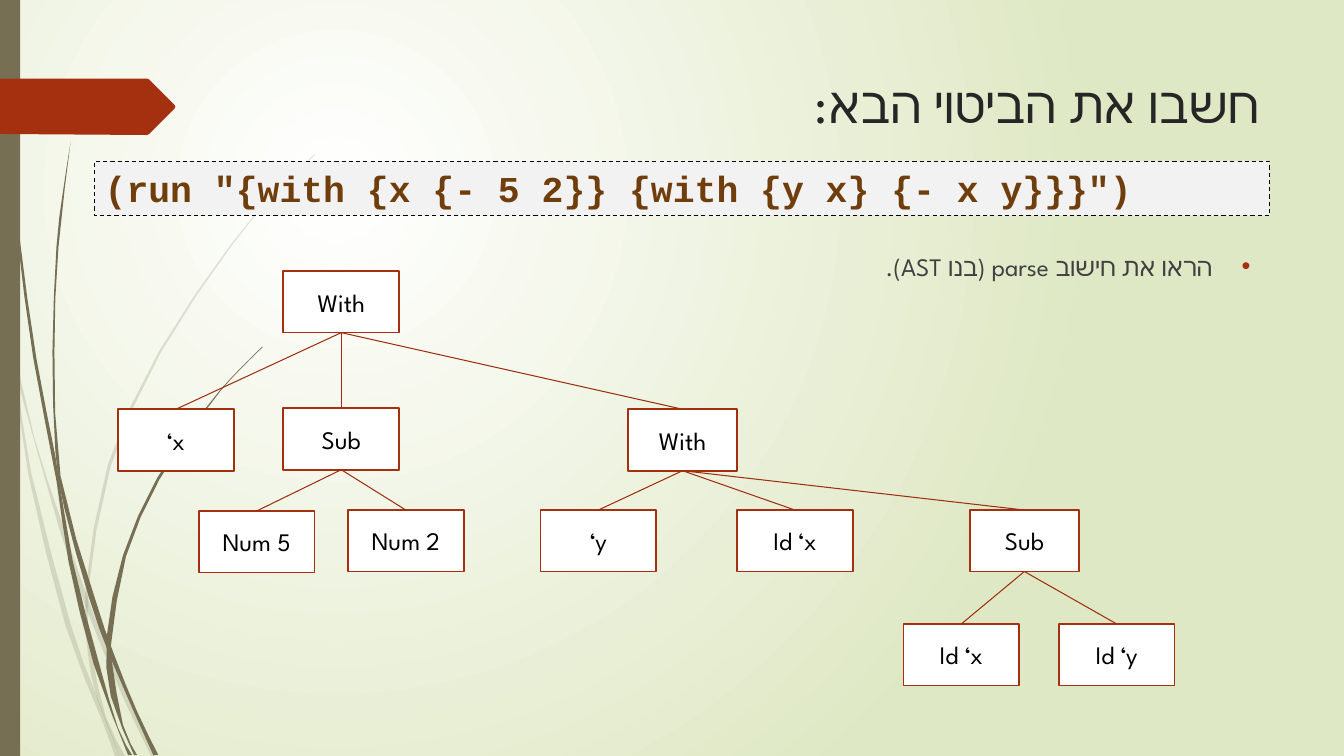
from dataclasses import dataclass

from lxml import etree
from pptx import Presentation
from pptx import util as u
from pptx.dml.color import RGBColor
from pptx.enum import dml, shapes, text
from pptx.oxml import ns

Points = list[tuple[float, float]]
SANS, MONO = "League Spartan", "Courier New"
OLIVE, RUST = "766F54", "A53010"


@dataclass
class Node:
    label: str
    left: float
    top: float
    width: float = 1.15
    kids: tuple["Node", ...] = ()


@dataclass
class Style:
    size: int
    color: str
    face: str = SANS
    bold: bool = False


@dataclass
class Stalk:
    down: Points
    back: Points
    alpha: int = 100


STALKS = (
    Stalk([(0, 2.82), (0.09, 3.22), (0.17, 3.76), (0.31, 4.69), (0.7, 6.19), (0.93, 6.83), (1.19, 7.5)],
          [(1.14, 7.5), (1.01, 7.14), (0.65, 6.21), (0.28, 4.7), (0.11, 3.5), (0, 2.99)], 20),
    Stalk([(0.14, 3.45), (0.34, 4.34), (0.62, 5.2), (0.92, 6.07), (1.27, 6.92), (1.55, 7.5)],
          [(1.5, 7.5), (1.23, 6.94), (0.88, 6.1), (0.58, 5.22), (0.17, 3.76)], 20),
    Stalk([(3.12, 1.53), (2.68, 1.97), (2.28, 2.44), (1.58, 3.48), (1.07, 4.61), (0.85, 5.84),
           (0.87, 6.46), (0.96, 6.92), (1.19, 7.5)],
          [(1.24, 7.5), (1.05, 7.11), (0.91, 6.46), (0.88, 5.84), (1.1, 4.62), (1.6, 3.49),
           (2.29, 2.45), (2.68, 1.98), (3.12, 1.54)], 20),
    Stalk([(0.03, 0), (0.07, 1.1), (0.17, 2.33), (0.33, 3.55), (0.56, 4.77), (0.68, 5.57),
           (0.93, 6.59), (1.27, 7.49)],
          [(1.31, 7.49), (1.17, 7.22), (0.98, 6.57), (0.72, 5.56), (0.55, 4.53), (0.36, 3.55),
           (0.19, 2.32), (0.08, 1.09), (0.04, 0)]),
    Stalk([(0.7, 1.41), (0.62, 1.93), (0.56, 2.45), (0.52, 3.49), (0.55, 4.49), (0.64, 5.05),
           (0.88, 5.92), (1.11, 6.56), (1.52, 7.49)],
          [(1.57, 7.49), (1.36, 7.06), (1.13, 6.49), (0.93, 5.9), (0.6, 4.72), (0.54, 3.49),
           (0.58, 2.45), (0.7, 1.41)]),
    Stalk([(2.6, 3.44), (2.31, 3.73), (2.04, 4.05), (1.56, 4.74), (1.22, 5.51), (1.06, 6.31),
           (1.1, 6.91), (1.33, 7.49)],
          [(1.36, 7.49), (1.22, 7.19), (1.11, 6.56), (1.11, 6.33), (1.25, 5.52), (1.58, 4.76),
           (2.05, 4.06), (2.31, 3.74), (2.61, 3.44)]),
)
ARROW = [(0, 0.78), (1.46, 0.78), (1.48, 0.79), (1.73, 1.04), (1.74, 1.06),
         (1.73, 1.08), (1.48, 1.33), (1.46, 1.34), (0, 1.33)]

TREE = Node("With", 2.81, 2.69, kids=(
    Node("‘x", 1.17, 4.06),
    Node("Sub", 2.81, 4.05, kids=(Node("Num 5", 1.97, 5.07), Node("Num 2", 3.45, 5.06))),
    Node("With", 6.23, 4.06, 1.08, (
        Node("‘y", 5.36, 5.06),
        Node("Id ‘x", 7.31, 5.06),
        Node("Sub", 9.62, 5.06, 1.08, (Node("Id ‘x", 8.96, 6.19), Node("Id ‘y", 10.5, 6.19))))),
))


def tint(code: str) -> RGBColor:
    return RGBColor.from_string(code)


def add_sub(parent, tag: str, **attrs: str):
    return etree.SubElement(parent, ns.qn(tag), attrs)


def paint(shape, color: str, edge: str = "", width: float = 0) -> None:
    shape.shadow.inherit = False
    shape.fill.solid()
    shape.fill.fore_color.rgb = tint(color)
    if edge:
        shape.line.color.rgb = tint(edge)
        shape.line.width = u.Pt(width)
    else:
        shape.line.fill.background()


def write(par, words: str, style: Style, align) -> None:
    par.alignment = align
    run = par.add_run()
    run.text = words
    font = run.font
    font.name, font.size, font.bold = style.face, u.Pt(style.size), style.bold
    font.color.rgb = tint(style.color)
    add_sub(font._element, "a:cs", typeface=style.face)


def smooth(knots: Points) -> Points:
    """Add a rounded midpoint between each pair of knots."""
    ends = [knots[0], *knots, knots[-1]]
    points = knots[:1]
    for a, b, c, d in zip(ends, ends[1:], ends[2:], ends[3:]):
        mid = tuple((9 * (b[i] + c[i]) - a[i] - d[i]) / 16 for i in (0, 1))
        points += [mid, c]
    return points


def add_free(slide, points: Points, color: str, alpha: int = 100) -> None:
    first, *rest = [(u.Inches(x), u.Inches(y)) for x, y in points]
    pen = slide.shapes.build_freeform(*first)
    pen.add_line_segments(rest, close=True)
    shape = pen.convert_to_shape()
    paint(shape, color)
    if alpha < 100:
        add_sub(shape._element.spPr.find(".//" + ns.qn("a:srgbClr")), "a:alpha", val=str(alpha * 1000))


def add_rect(slide, left: float, top: float, width: float, height: float):
    return slide.shapes.add_shape(shapes.MSO_SHAPE.RECTANGLE, *map(u.Inches, (left, top, width, height)))


def add_node(slide, node: Node):
    box = add_rect(slide, node.left, node.top, node.width, 0.61)
    paint(box, "FFFFFF", RUST, 1.25)
    box.text_frame.vertical_anchor = text.MSO_ANCHOR.MIDDLE
    write(box.text_frame.paragraphs[0], node.label, Style(18, "000000"), text.PP_ALIGN.CENTER)
    for kid in node.kids:
        child = add_node(slide, kid)
        link = slide.shapes.add_connector(shapes.MSO_CONNECTOR.STRAIGHT, 0, 0, 0, 0)
        link.begin_connect(box, 2)
        link.end_connect(child, 0)
        link.line.color.rgb = tint("9E2E0F")
        link.line.width = u.Pt(0.75)
        add_sub(link._element.spPr, "a:effectLst")
    return box


def add_hebrew(slide, left: float, top: float, height: float, words: str, style: Style, dot: bool = False) -> None:
    frame = slide.shapes.add_textbox(*map(u.Inches, (left, top, 9.75, height))).text_frame
    frame.word_wrap = True
    par = frame.paragraphs[0]
    props = par._p.get_or_add_pPr()
    props.set("rtl", "1")
    if dot:
        props.set("marL", "342900")
        props.set("indent", "-342900")
        add_sub(add_sub(props, "a:buClr"), "a:srgbClr", val=RUST)
        add_sub(props, "a:buFont", typeface="Arial")
        add_sub(props, "a:buChar", char="•")
    write(par, words, style, text.PP_ALIGN.RIGHT)


def main() -> None:
    deck = Presentation()
    deck.slide_width, deck.slide_height = u.Inches(13.33), u.Inches(7.5)
    slide = deck.slides.add_slide(deck.slide_layouts[6])

    # Radial background
    fill = slide.background.fill
    fill.gradient()
    for stop, place, color in zip(fill.gradient_stops, (0, 1), ("FFFFFF", "DFE8C4")):
        stop.position, stop.color.rgb = place, tint(color)
    grad = slide.element.find(".//" + ns.qn("a:gradFill"))
    grad.remove(grad.find(ns.qn("a:lin")))
    add_sub(add_sub(grad, "a:path", path="circle"), "a:fillToRect",
            l="50000", t="50000", r="100000", b="100000")

    # Stalks, side bar and arrow
    for stalk in STALKS:
        add_free(slide, smooth(stalk.down) + smooth(stalk.back), OLIVE, stalk.alpha)
    paint(add_rect(slide, 0, 0, 0.2, 7.5), OLIVE)
    add_free(slide, ARROW, RUST)

    # Title, code and task
    add_hebrew(slide, 2.84, 0.68, 1.4, "חשבו את הביטוי הבא:", Style(36, "262626"))
    code = add_rect(slide, 0.94, 1.6, 11.65, 0.54)
    paint(code, "F2F2F2", "000000", 0.75)
    code.line.dash_style = dml.MSO_LINE.DASH
    code.text_frame.word_wrap = True
    code.text_frame.auto_size = text.MSO_AUTO_SIZE.SHAPE_TO_FIT_TEXT
    code.text_frame.vertical_anchor = text.MSO_ANCHOR.TOP
    write(code.text_frame.paragraphs[0], '(run "{with {x {- 5 2}} {with {y x} {- x y}}}")',
          Style(26, "6F3E0C", MONO, True), text.PP_ALIGN.JUSTIFY)
    add_hebrew(slide, 2.75, 2.44, 4.13, "הראו את חישוב parse (בנו AST).", Style(18, "404040"), dot=True)

    # Syntax tree
    add_node(slide, TREE)
    deck.save("out.pptx")


if __name__ == "__main__":
    main()
